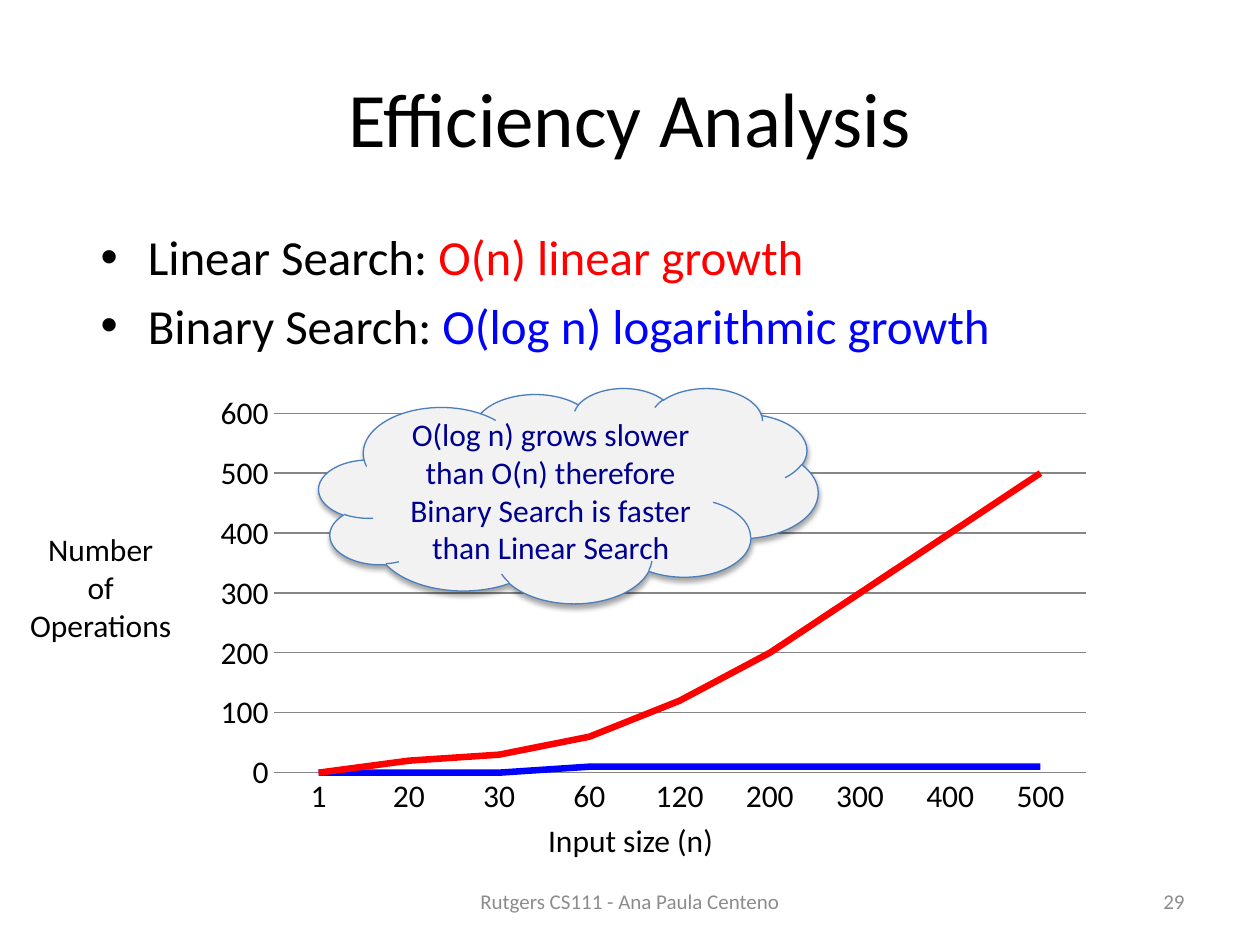
import pptx
import pptx.chart.data
import pptx.dml.color
import pptx.enum.chart
import pptx.enum.shapes
import pptx.enum.text
import pptx.oxml
import pptx.oxml.ns
import pptx.util

Cm = pptx.util.Cm
Pt = pptx.util.Pt
ALIGN = pptx.enum.text.PP_ALIGN
ANCHOR = pptx.enum.text.MSO_ANCHOR
FONT = "Calibri"
COLORS = {
    "text": "000000",
    "footer": "8C8C8C",
    "linear": "FF0000",
    "logarithmic": "0000FF",
    "grid": "868686",
    "cloud": "F2F2F2",
    "cloud_line": "4B7EBC",
    "cloud_text": "000090",
}
SIZES = ["1", "20", "30", "60", "120", "200", "300", "400", "500"]
SERIES = [
    ("Series 1", [0, 0, 0, 10, 10, 10, 10, 10, 10], "logarithmic"),
    ("Series 2", [0, 20, 30, 60, 120, 200, 300, 400, 500], "linear"),
]


def color(name):
    return pptx.dml.color.RGBColor.from_string(COLORS[name])


def parse_element(tag, content):
    """Build a drawing element with the a: and c: prefixes declared."""
    names = pptx.oxml.ns.nsdecls("a", "c")
    prefix = tag.split(" ")[0]
    return pptx.oxml.parse_xml(f"<{tag} {names}>{content}</{prefix}>")


def add_span(para, text, size, name="text"):
    span = para.add_run()
    span.text = text
    span.font.name = FONT
    span.font.size = Pt(size)
    span.font.color.rgb = color(name)


def add_text(page, box, lines, size, name="text", align=ALIGN.LEFT,
             anchor=ANCHOR.TOP, wrap=True):
    frame = page.shapes.add_textbox(*map(Cm, box)).text_frame
    frame.word_wrap = wrap
    frame.vertical_anchor = anchor
    for index, line in enumerate(lines):
        para = frame.add_paragraph() if index else frame.paragraphs[0]
        para.alignment = align
        add_span(para, line, size, name)


def add_searches(page, box):
    """Bulleted list of each search with its growth in colour."""
    frame = page.shapes.add_textbox(*map(Cm, box)).text_frame
    frame.word_wrap = True
    searches = [
        ("Linear Search: ", "O(n) linear growth", "linear"),
        ("Binary Search: ", "O(log n) logarithmic growth", "logarithmic"),
    ]
    for index, (search, growth, name) in enumerate(searches):
        para = frame.add_paragraph() if index else frame.paragraphs[0]
        if index:
            para.space_before = Pt(5.6)
        properties = para._p.get_or_add_pPr()
        properties.set("marL", str(Cm(0.95)))
        properties.set("indent", str(Cm(-0.95)))
        properties.append(parse_element('a:buFont typeface="Arial"', ""))
        properties.append(parse_element('a:buChar char="•"', ""))
        add_span(para, search, 28)
        add_span(para, growth, 28, name)


def style_axis_line(line):
    line.color.rgb = color("grid")
    line.width = Pt(0.75)


def add_growth_chart(page, box):
    data = pptx.chart.data.CategoryChartData()
    data.categories = SIZES
    for title, values, _ in SERIES:
        data.add_series(title, values)
    chart = page.shapes.add_chart(
        pptx.enum.chart.XL_CHART_TYPE.LINE, *map(Cm, box), data).chart
    chart.has_legend = False
    chart.has_title = False
    chart.font.name = FONT
    chart.font.size = Pt(18)
    chart.font.color.rgb = color("text")
    plot = chart.plots[0]
    plot.vary_by_categories = False
    for series, (_, _, name) in zip(plot.series, SERIES):
        series.smooth = False
        series.marker.style = pptx.enum.chart.XL_MARKER_STYLE.NONE
        series.format.line.color.rgb = color(name)
        series.format.line.width = Pt(3.75)

    for axis in (chart.category_axis, chart.value_axis):
        axis.major_tick_mark = pptx.enum.chart.XL_TICK_MARK.NONE
        axis.minor_tick_mark = pptx.enum.chart.XL_TICK_MARK.NONE
    style_axis_line(chart.category_axis.format.line)
    values = chart.value_axis
    values.minimum_scale, values.maximum_scale, values.major_unit = 0, 600, 100
    values.format.line.fill.background()
    values.has_major_gridlines = True
    style_axis_line(values.major_gridlines.format.line)

    area = chart._chartSpace.chart.plotArea
    for layout in area.findall(pptx.oxml.ns.qn("c:layout")):
        area.remove(layout)
    parts = [("layoutTarget", "inner"), ("xMode", "edge"), ("yMode", "edge"),
             ("x", 0.08), ("y", 0.06), ("w", 0.9), ("h", 0.82)]
    content = "".join(f'<c:{tag} val="{value}"/>' for tag, value in parts)
    area.insert(0, parse_element(
        "c:layout", f"<c:manualLayout>{content}</c:manualLayout>"))


def add_cloud(page, box):
    cloud = page.shapes.add_shape(
        pptx.enum.shapes.MSO_SHAPE.CLOUD, *map(Cm, box))
    cloud.fill.solid()
    cloud.fill.fore_color.rgb = color("cloud")
    cloud.line.color.rgb = color("cloud_line")
    cloud.line.width = Pt(0.75)
    cloud._element.spPr.append(parse_element(
        "a:effectLst",
        f'<a:outerShdw blurRad="{Pt(3.1)}" dist="{Pt(1.8)}" dir="5400000" '
        'rotWithShape="0"><a:srgbClr val="000000"><a:alpha val="35000"/>'
        "</a:srgbClr></a:outerShdw>"))
    frame = cloud.text_frame
    frame.word_wrap = True
    frame.vertical_anchor = ANCHOR.MIDDLE
    para = frame.paragraphs[0]
    para.alignment = ALIGN.CENTER
    add_span(para, "O(log n) grows slower than O(n) therefore "
             "Binary Search is faster than Linear Search", 18, "cloud_text")


def add_footer(page, box):
    """Course in the middle of the box, page number at its right end."""
    left, top, width, height = box
    course, number = 8.05, 5.92
    add_text(page, (left + (width - course) / 2, top, course, height),
             ["Rutgers CS111 - Ana Paula Centeno"], 12, "footer",
             ALIGN.CENTER, ANCHOR.MIDDLE)
    add_text(page, (left + width - number, top, number, height),
             ["29"], 12, "footer", ALIGN.RIGHT, ANCHOR.MIDDLE)


def main():
    deck = pptx.Presentation()
    deck.slide_width, deck.slide_height = Cm(25.4), Cm(19.05)
    page = deck.slides.add_slide(deck.slide_layouts[6])
    add_text(page, (1.27, 0.76, 22.86, 3.18), ["Efficiency Analysis"], 44,
             align=ALIGN.CENTER, anchor=ANCHOR.MIDDLE)
    add_footer(page, (1.27, 17.65, 22.86, 1.02))
    add_searches(page, (1.78, 4.45, 19.84, 2.72))
    add_growth_chart(page, (4.06, 7.8, 18.19, 8.84))
    add_cloud(page, (6.43, 7.82, 10.06, 4.34))
    add_text(page, (10.8, 16.43, 3.89, 1.02), ["Input size (n)"], 18,
             wrap=False)
    add_text(page, (0.33, 10.57, 3.4, 2.57), ["Number", "of", "Operations"],
             18, align=ALIGN.CENTER, wrap=False)
    deck.save("out.pptx")


if __name__ == "__main__":
    main()
